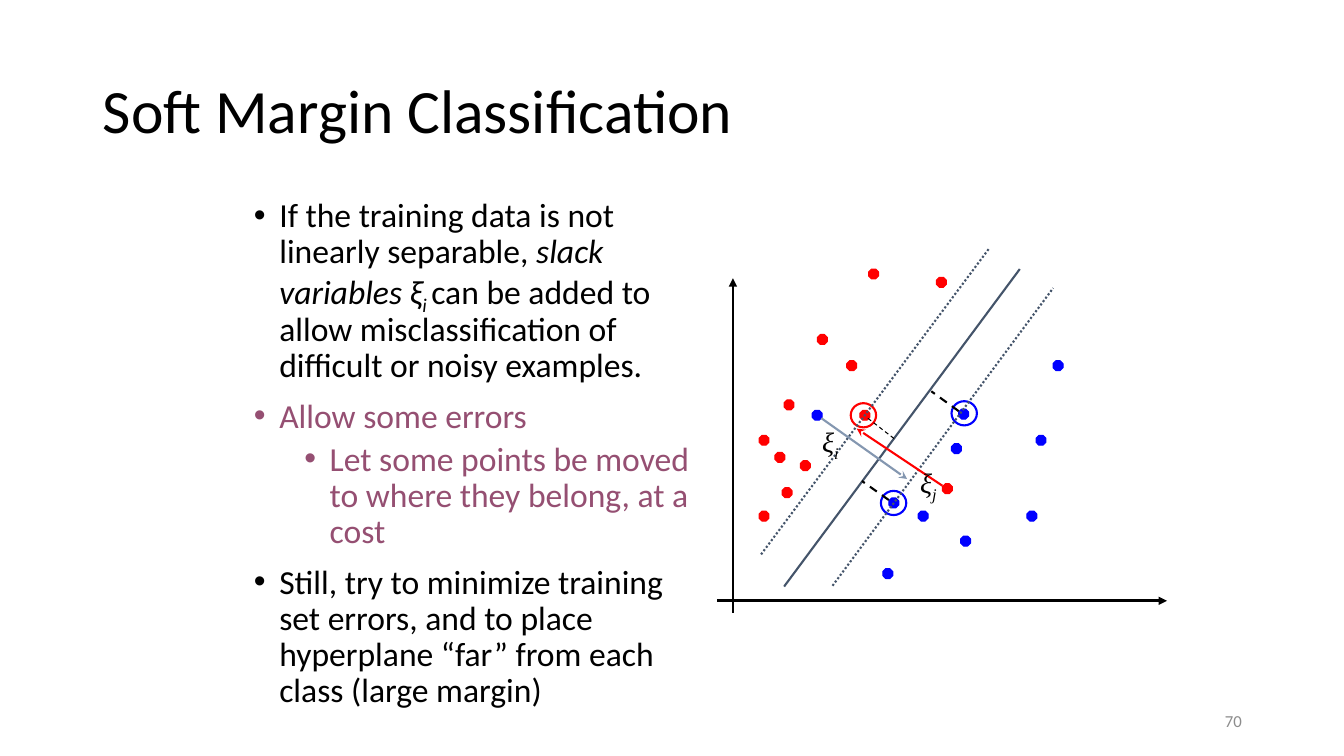
from lxml.etree import SubElement
from pptx import Presentation
from pptx.dml.color import RGBColor
from pptx.enum.dml import MSO_LINE
from pptx.enum.shapes import MSO_CONNECTOR, MSO_SHAPE
from pptx.enum.text import MSO_ANCHOR, PP_ALIGN
from pptx.oxml.ns import qn
from pptx.util import Cm, Pt

BLACK, RED, BLUE = "000000", "FF0000", "0000FF"
SLATE, STEEL, PLUM, GRAY = "44546A", "8497B0", "954F72", "8C8C8C"

RED_POINTS = [
    (21.34, 9.09), (19.76, 10.08), (20.17, 11.61), (19.13, 12.88),
    (20.6, 8.43), (19.13, 10.97), (19.53, 11.4), (21.67, 10.34),
    (21.89, 6.78), (23.6, 6.99), (19.71, 12.29), (23.75, 12.19),
]
BLUE_POINTS = [
    (24.16, 10.31), (23.14, 12.88), (25.88, 12.88), (22.25, 14.33),
    (23.98, 11.18), (22.4, 12.55), (24.21, 13.51), (26.11, 10.97),
    (26.54, 9.09), (20.47, 10.34),
]
SUPPORT_VECTORS = [(21.44, 10.16, RED), (22.2, 12.37, BLUE), (23.98, 10.11, BLUE)]

# start, end, colour, width in points, dash style, arrowhead
AXES = [
    ((18.47, 15.44), (18.47, 7.01), BLACK, 2, None, "triangle"),
    ((18.08, 15.14), (29.41, 15.14), BLACK, 2, None, "triangle"),
]
MARGIN_LINES = [
    ((19.76, 14.78), (25.7, 6.78), SLATE, 1.5, None, None),
    ((24.16, 10.36), (23.47, 9.86), BLACK, 1.5, MSO_LINE.DASH, None),
    ((22.4, 12.6), (21.72, 12.12), BLACK, 1.5, MSO_LINE.DASH, None),
    ((22.53, 11.05), (21.87, 10.54), BLACK, 0.75, MSO_LINE.DASH, None),
    ((20.98, 14.76), (26.54, 7.26), SLATE, 1.5, MSO_LINE.ROUND_DOT, None),
    ((19.18, 13.97), (24.92, 6.27), SLATE, 1.5, MSO_LINE.ROUND_DOT, None),
    ((23.75, 12.24), (21.59, 10.8), RED, 1.5, None, "stealth"),
    ((20.7, 10.54), (22.86, 12.07), STEEL, 1.5, None, "stealth"),
]

# level, colour, runs as (text, italic, subscript)
BULLETS = [
    (0, BLACK, [
        ("If the training data is not linearly separable, ", False, False),
        ("slack variables ξ", True, False),
        ("i ", True, True),
        ("can be added to allow misclassification of difficult or noisy examples.",
         False, False),
    ]),
    (0, PLUM, [("Allow some errors", False, False)]),
    (1, PLUM, [("Let some points be moved to where they belong, at a cost",
                False, False)]),
    (0, BLACK, [("Still, try to minimize training set errors, and to place "
                 "hyperplane “far” from each class (large margin)", False, False)]),
]


def color(value):
    return RGBColor.from_string(value)


def add_text_frame(slide, left, top, width, height, anchor=MSO_ANCHOR.TOP):
    box = slide.shapes.add_textbox(Cm(left), Cm(top), Cm(width), Cm(height))
    frame = box.text_frame
    frame.word_wrap = True
    frame.vertical_anchor = anchor
    return frame


def set_font(paragraph, size, value, name="Calibri"):
    paragraph.font.size = Pt(size)
    paragraph.font.name = name
    paragraph.font.color.rgb = color(value)


def add_run(paragraph, text, italic, subscript):
    run = paragraph.add_run()
    run.text = text
    run.font.italic = italic
    if subscript:
        run.font._element.set("baseline", "-25000")


def add_bullet(paragraph, level, value):
    paragraph.level = level
    properties = paragraph._p.get_or_add_pPr()
    properties.set("marL", str(Cm(0.64 + 1.27 * level)))
    properties.set("indent", str(-Cm(0.64)))
    bullet_color = SubElement(properties, qn("a:buClr"))
    SubElement(bullet_color, qn("a:srgbClr"), val=value)
    SubElement(properties, qn("a:buFont"), typeface="Arial")
    SubElement(properties, qn("a:buChar"), char="•")


def add_bullet_list(slide):
    frame = add_text_frame(slide, 6.15, 4.88, 11.63, 13.54)
    for index, (level, value, runs) in enumerate(BULLETS):
        paragraph = frame.add_paragraph() if index else frame.paragraphs[0]
        add_bullet(paragraph, level, value)
        paragraph.line_spacing = 0.9
        if index:
            paragraph.space_before = Pt(5 if level else 10)
        set_font(paragraph, 24, value)
        for run in runs:
            add_run(paragraph, *run)


def add_point(slide, left, top, value):
    point = slide.shapes.add_shape(
        MSO_SHAPE.OCTAGON, Cm(left), Cm(top), Cm(0.25), Cm(0.25))
    point.shadow.inherit = False
    point.fill.solid()
    point.fill.fore_color.rgb = color(value)
    point.line.color.rgb = color(value)
    point.line.width = Pt(0.75)


def add_ring(slide, left, top, value):
    ring = slide.shapes.add_shape(
        MSO_SHAPE.OVAL, Cm(left), Cm(top), Cm(0.64), Cm(0.61))
    ring.shadow.inherit = False
    ring.fill.background()
    ring.line.color.rgb = color(value)
    ring.line.width = Pt(1.5)


def add_line(slide, start, end, value, width, dash, arrowhead):
    connector = slide.shapes.add_connector(
        MSO_CONNECTOR.STRAIGHT, *map(Cm, start + end))
    connector.line.color.rgb = color(value)
    connector.line.width = Pt(width)
    if dash:
        connector.line.dash_style = dash
    properties = connector._element.spPr
    if arrowhead:
        SubElement(properties.find(qn("a:ln")), qn("a:tailEnd"), type=arrowhead)
    SubElement(properties, qn("a:effectLst"))


def add_slack_label(slide, left, top, subscript):
    paragraph = add_text_frame(slide, left, top, 1.96, 1.09).paragraphs[0]
    set_font(paragraph, 20, BLACK, "Times New Roman")
    add_run(paragraph, "ξ", True, False)
    add_run(paragraph, subscript, True, True)


def add_title(slide, text):
    frame = add_text_frame(slide, 2.34, 1.02, 29.21, 3.68, MSO_ANCHOR.MIDDLE)
    paragraph = frame.paragraphs[0]
    paragraph.text = text
    paragraph.line_spacing = 0.9
    set_font(paragraph, 44, BLACK)


def add_slide_number(slide, text):
    frame = add_text_frame(slide, 23.93, 17.65, 7.62, 1.02, MSO_ANCHOR.MIDDLE)
    paragraph = frame.paragraphs[0]
    paragraph.text = text
    paragraph.alignment = PP_ALIGN.RIGHT
    set_font(paragraph, 12, GRAY)


def main():
    presentation = Presentation()
    presentation.slide_width = Cm(33.87)
    presentation.slide_height = Cm(19.05)
    slide = presentation.slides.add_slide(presentation.slide_layouts[6])

    add_title(slide, "Soft Margin Classification")
    add_bullet_list(slide)
    for axis in AXES:
        add_line(slide, *axis)
    for value, points in ((RED, RED_POINTS), (BLUE, BLUE_POINTS)):
        for left, top in points:
            add_point(slide, left, top, value)
    for support_vector in SUPPORT_VECTORS:
        add_ring(slide, *support_vector)
    for line in MARGIN_LINES:
        add_line(slide, *line)
    add_slack_label(slide, 22.94, 11.61, "j")
    add_slack_label(slide, 20.47, 10.57, "i")
    add_slide_number(slide, "70")

    presentation.save("out.pptx")


if __name__ == "__main__":
    main()
